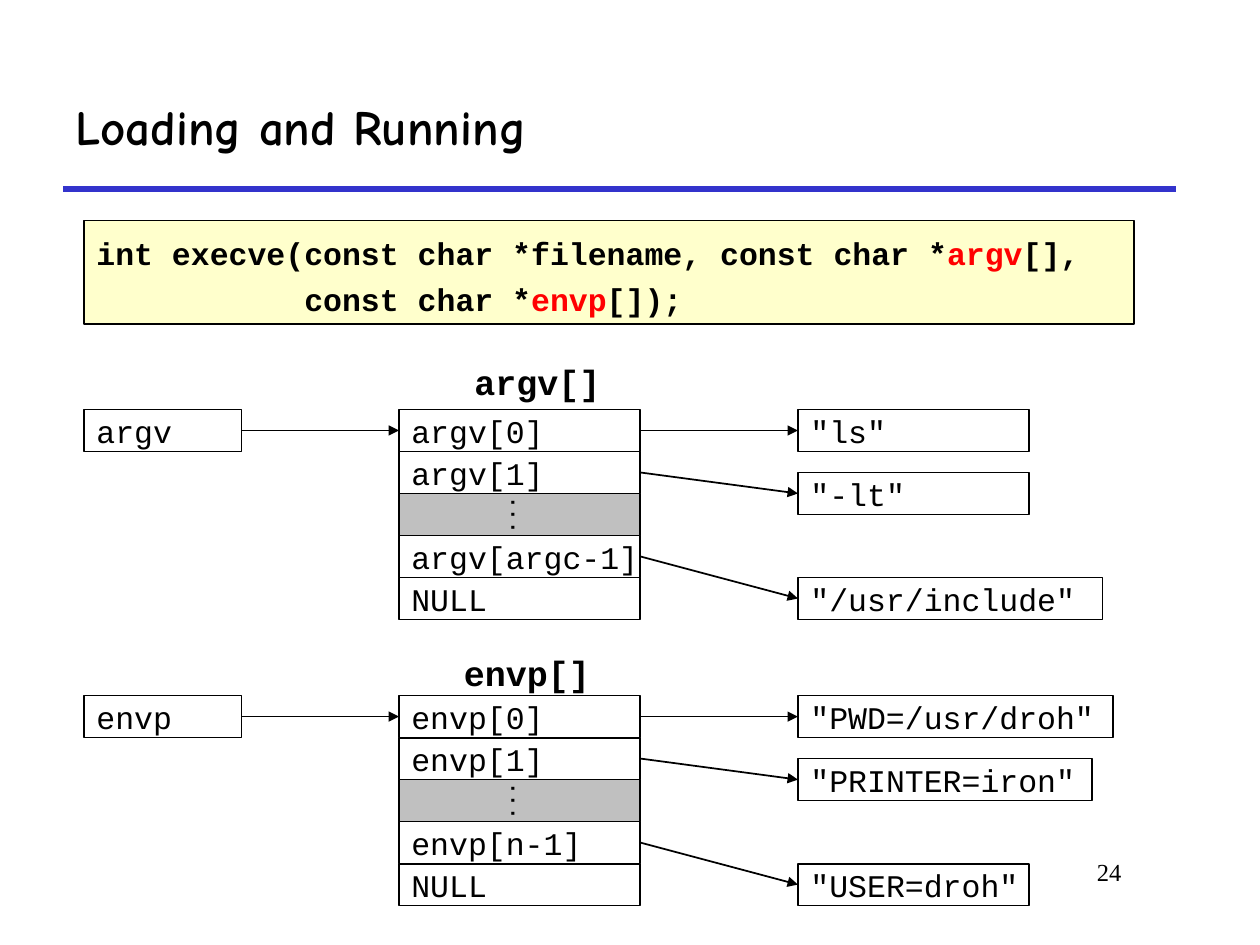
from dataclasses import dataclass

from lxml.etree import SubElement
from pptx import Presentation
from pptx.dml.color import RGBColor
from pptx.enum.shapes import MSO_CONNECTOR as Connector, MSO_SHAPE as Shape
from pptx.enum.text import MSO_ANCHOR as Anchor, MSO_AUTO_SIZE as AutoSize, PP_ALIGN as Align
from pptx.oxml.ns import qn
from pptx.util import Inches, Pt

BLACK = RGBColor(0x00, 0x00, 0x00)
RED = RGBColor(0xFF, 0x00, 0x00)
BLUE = RGBColor(0x33, 0x33, 0xCC)
GRAY = RGBColor(0xC0, 0xC0, 0xC0)
CREAM = RGBColor(0xFF, 0xFF, 0xCC)

MONO, SERIF, COMIC = "Courier New", "Times New Roman", "Comic Neue"

# The grid has 120 columns and 90 rows of a twelfth of an inch.
ROW_H = 4
POINTER_X, POINTER_W = 8, 15
ARRAY_X, ARRAY_W = 38, 23
STRING_X = 76


@dataclass
class Target:
    text: str
    row: int      # array element that points here
    offset: int   # grid rows below the top of the array
    width: int


@dataclass
class PointerArray:
    name: str
    top: float
    label_x: float
    label_y: float
    last: str
    targets: list[Target]


ARRAYS = [
    PointerArray("argv", 39, 44, 33.75, "argc-1", [
        Target('"ls"', 0, 0, 22),
        Target('"-lt"', 1, 6, 22),
        Target('"/usr/include"', 3, 16, 29),
    ]),
    PointerArray("envp", 66.25, 43, 61.45, "n-1", [
        Target('"PWD=/usr/droh"', 0, 0, 30),
        Target('"PRINTER=iron"', 1, 6, 28),
        Target('"USER=droh"', 3, 16, 22),
    ]),
]


def grid(n: float) -> int:
    return Inches(n / 12)


def add_run(p, text: str, size: float, font: str = MONO,
            bold: bool = False, color: RGBColor = BLACK) -> None:
    r = p.add_run()
    r.text = text
    r.font.size, r.font.name, r.font.bold = Pt(size), font, bold
    r.font.color.rgb = color


def setup_text(sp, wrap: bool = False, anchor=Anchor.MIDDLE, align=Align.LEFT):
    """Set the frame of a shape and return its first paragraph."""
    tf = sp.text_frame
    tf.word_wrap, tf.auto_size, tf.vertical_anchor = wrap, AutoSize.NONE, anchor
    p = tf.paragraphs[0]
    p.alignment = align
    return p


def add_rect(slide, x: float, y: float, w: float, h: float,
             fill: RGBColor | None = None, weight: float = 1):
    sp = slide.shapes.add_shape(Shape.RECTANGLE, *map(grid, (x, y, w, h)))
    sp.shadow.inherit = False
    if fill is None:
        sp.fill.background()
    else:
        sp.fill.solid()
        sp.fill.fore_color.rgb = fill
    sp.line.color.rgb, sp.line.width = BLACK, Pt(weight)
    return sp


def add_cell(slide, x: float, y: float, w: float, text: str) -> None:
    sp = add_rect(slide, x, y, w, ROW_H)
    add_run(setup_text(sp), text, 18)


def add_ellipsis_cell(slide, x: float, y: float, w: float) -> None:
    sp = add_rect(slide, x, y, w, ROW_H, GRAY)
    add_run(setup_text(sp), "...", 12, bold=True)
    tf = sp.text_frame
    tf.margin_left = tf.margin_right = Inches(0.05)
    tf.margin_top = tf.margin_bottom = Inches(0.02)
    tf._txBody.bodyPr.set("vert", "eaVert")


def add_line(slide, x1: float, y1: float, x2: float, y2: float,
             color: RGBColor = BLACK, weight: float = 1, arrow: bool = True) -> None:
    line = slide.shapes.add_connector(Connector.STRAIGHT, *map(grid, (x1, y1, x2, y2)))
    line.line.color.rgb, line.line.width = color, Pt(weight)
    if arrow:
        SubElement(line.line._get_or_add_ln(), qn("a:tailEnd"), type="triangle")
    SubElement(line._element.spPr, qn("a:effectLst"))


def add_label(slide, x: float, y: float, w: float, h: float, text: str, size: float,
              font: str = MONO, bold: bool = False, **frame) -> None:
    sp = slide.shapes.add_textbox(*map(grid, (x, y, w, h)))
    add_run(setup_text(sp, **frame), text, size, font, bold)


def add_title(slide, text: str) -> None:
    title = slide.shapes.title
    title.left, title.top, title.width, title.height = map(grid, (6, 6, 106, 12))
    add_run(setup_text(title, wrap=True), text, 28, COMIC, bold=True)


def add_prototype(slide) -> None:
    sp = add_rect(slide, POINTER_X, 21, 100, 9.85, CREAM, 0.75)
    p = setup_text(sp, wrap=True, anchor=Anchor.TOP)
    p.line_spacing = 1.2
    add_run(p, "int execve(const char *filename, const char *", 18, bold=True)
    add_run(p, "argv", 18, bold=True, color=RED)
    add_run(p, "[],", 18, bold=True)
    p.add_line_break()
    add_run(p, "           const char *", 18, bold=True)
    add_run(p, "envp", 18, bold=True, color=RED)
    add_run(p, "[]);", 18, bold=True)


def add_pointer_array(slide, a: PointerArray) -> None:
    middle = a.top + ROW_H / 2
    add_label(slide, a.label_x, a.label_y, 14.4, 5.25, f"{a.name}[]", 20, bold=True)
    add_cell(slide, POINTER_X, a.top, POINTER_W, a.name)
    add_line(slide, POINTER_X + POINTER_W, middle, ARRAY_X, middle)

    elements = [f"{a.name}[0]", f"{a.name}[1]", None, f"{a.name}[{a.last}]", "NULL"]
    for i, text in enumerate(elements):
        y = a.top + i * ROW_H
        if text is None:
            add_ellipsis_cell(slide, ARRAY_X, y, ARRAY_W)
        else:
            add_cell(slide, ARRAY_X, y, ARRAY_W, text)

    for t in a.targets:
        add_cell(slide, STRING_X, a.top + t.offset, t.width, t.text)
        add_line(slide, ARRAY_X + ARRAY_W, middle + t.row * ROW_H,
                 STRING_X, middle + t.offset)


def main() -> None:
    prs = Presentation()
    prs.slide_width, prs.slide_height = Inches(10), Inches(7.5)
    slide = prs.slides.add_slide(prs.slide_layouts[5])
    add_line(slide, 6, 18, 112, 18, BLUE, 3, arrow=False)
    add_title(slide, "Loading and Running")
    add_prototype(slide)
    for array in ARRAYS:
        add_pointer_array(slide, array)
    add_label(slide, 91, 81, 17, 6, "24", 14, SERIF,
              wrap=True, anchor=Anchor.TOP, align=Align.RIGHT)
    prs.save("out.pptx")


if __name__ == "__main__":
    main()
